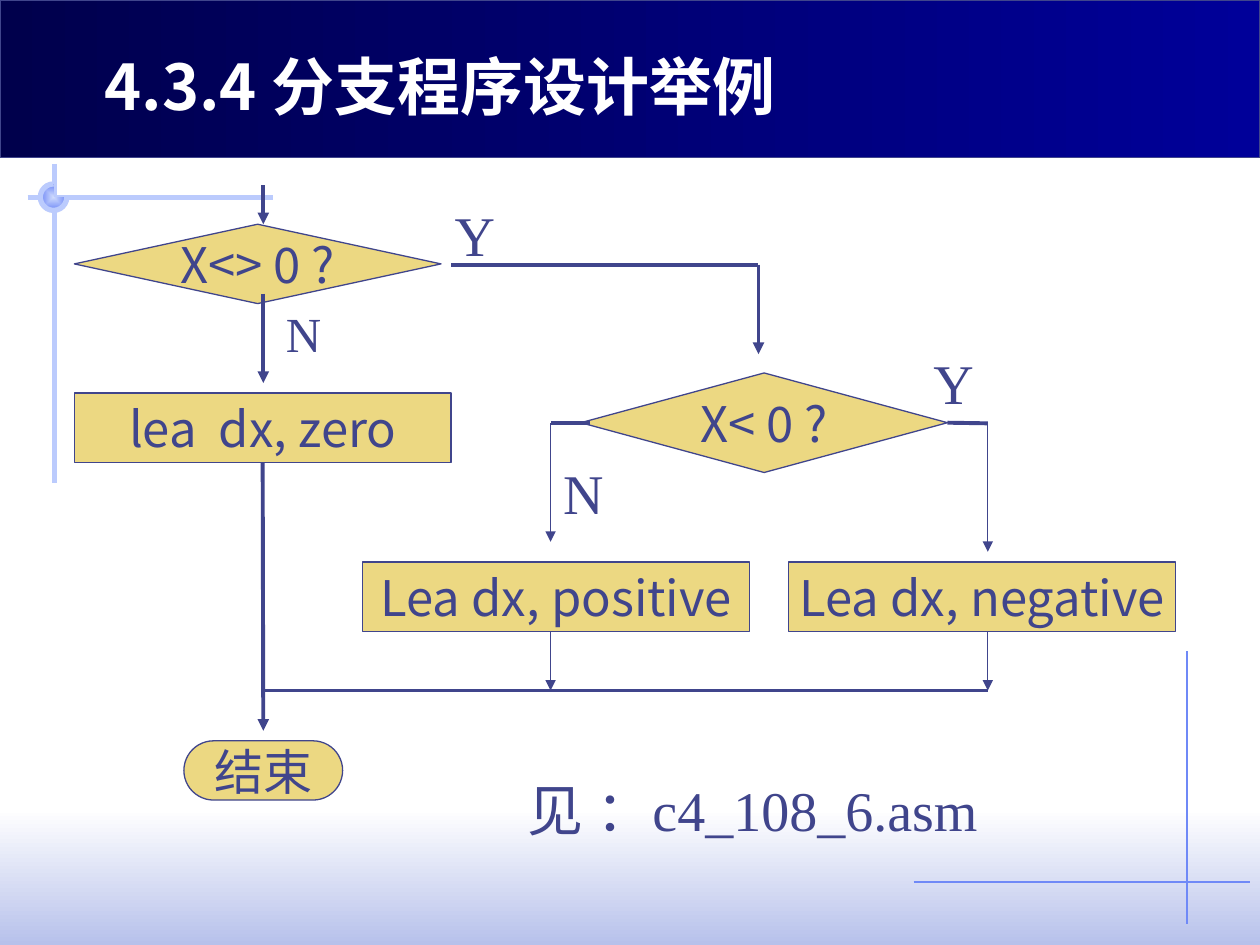
from lxml import etree
from pptx import Presentation
from pptx.dml.color import RGBColor
from pptx.enum.shapes import MSO_CONNECTOR, MSO_SHAPE
from pptx.enum.text import MSO_ANCHOR, PP_ALIGN
from pptx.oxml.ns import qn
from pptx.util import Inches, Pt

RECT, ROUND, DIAMOND = MSO_SHAPE.RECTANGLE, MSO_SHAPE.ROUNDED_RECTANGLE, MSO_SHAPE.DIAMOND
PIE, ARC = MSO_SHAPE.PIE, MSO_SHAPE.ARC
LINE = MSO_CONNECTOR.STRAIGHT
TOP, MIDDLE = MSO_ANCHOR.TOP, MSO_ANCHOR.MIDDLE
LEFT, CENTER = PP_ALIGN.LEFT, PP_ALIGN.CENTER

INK, SAND, PALE, BLUE = "40458C", "ECD882", "BBCBFD", "6F89F7"
SANS, BOLD, SERIF = "Noto Sans CJK SC", "Noto Sans CJK JP", "Times New Roman"
THIN, THICK = 0.75, 2.25

# Content: flow chart columns and rows
TITLE = "4.3.4 分支程序设计举例"
MAIN, TURN, POS, NEG = 2.09, 6.02, 4.37, 7.84
ASK1, ASK2, JOIN = 2.1, 3.36, 5.48

NODES = {  # name: (shape, text, box)
    "less": (DIAMOND, "X< 0 ?", (4.61, 2.96, 2.91, 0.79)),
    "zero": (RECT, "lea  dx, zero", (0.59, 3.12, 2.99, 0.55)),
    "pos": (RECT, "Lea dx, positive", (2.88, 4.46, 3.07, 0.55)),
    "neg": (RECT, "Lea dx, negative", (6.26, 4.46, 3.07, 0.55)),
    "end": (ROUND, "结束", (1.46, 5.88, 1.26, 0.47)),
    "test": (DIAMOND, "X<> 0 ?", (0.59, 1.78, 2.91, 0.63)),
}
FLOWS = [  # x1, y1, x2, y2, width, arrow, (node, side) at the start
    (MAIN, 1.47, MAIN, 1.78, THICK, True, None),
    (MAIN, 2.33, MAIN, 3.04, THICK, True, None),
    (MAIN, 3.67, MAIN, 5.8, THICK, True, ("zero", 2)),
    (3.58, ASK1, TURN, ASK1, THICK, False, None),
    (TURN, ASK1, TURN, 2.81, THICK, True, None),
    (4.68, ASK2, POS, ASK2, THICK, False, None),
    (POS, ASK2, POS, 4.3, THIN, True, None),
    (7.52, ASK2, NEG, ASK2, THICK, False, ("less", 3)),
    (NEG, ASK2, NEG, 4.38, THIN, True, None),
    (POS, 5.01, POS, JOIN, THIN, True, None),
    (NEG, 5.01, NEG, JOIN, THIN, True, None),
    (NEG, JOIN, MAIN, JOIN, THICK, False, None),
]
LABELS = [  # text, box, size, top and bottom inset
    ("Y", (3.51, 1.54, 0.52, 0.64), 32, 0.05),
    ("N", (2.17, 2.41, 0.48, 0.47), 28, 0),
    ("Y", (7.31, 2.72, 0.52, 0.64), 32, 0.05),
    ("N", (POS, 3.59, 0.52, 0.64), 32, 0.05),
    ("见 ：c4_108_6.asm", (4.09, 6.11, 3.88, 0.64), 32, 0.05),
]
RULES = [  # decoration: x1, y1, x2, y2, colour, width
    (9.42, 5.17, 9.42, 7.33, BLUE, THIN),
    (7.25, 7, 9.92, 7, BLUE, THIN),
    (0.22, 1.57, 2.17, 1.57, PALE, 3),
    (0.43, 1.3, 0.43, 3.83, PALE, 3),
]
KNOB = (0.32, 1.46, 0.21, 0.21)

deck = Presentation()
deck.slide_width, deck.slide_height = Inches(10), Inches(7.5)
slide = deck.slides.add_slide(deck.slide_layouts[5])
shapes = slide.shapes


def rgb(code):
    return RGBColor.from_string(code)


def inch(nums):
    return [Inches(n) for n in nums]


def add(kind, box, fill=None, edge=None, width=THIN):
    item = shapes.add_shape(kind, *inch(box))
    item.shadow.inherit = False
    if isinstance(fill, tuple):
        item.fill.gradient()
        for stop, code in zip(item.fill.gradient_stops, fill):
            stop.color.rgb = rgb(code)
    elif fill:
        item.fill.solid()
        item.fill.fore_color.rgb = rgb(fill)
    else:
        item.fill.background()
    if edge:
        item.line.color.rgb = rgb(edge)
        item.line.width = Pt(width)
    else:
        item.line.fill.background()
    return item


def link(x1, y1, x2, y2, color, width, arrow=False):
    item = shapes.add_connector(LINE, *inch((x1, y1, x2, y2)))
    item.line.color.rgb = rgb(color)
    item.line.width = Pt(width)
    if arrow:
        etree.SubElement(item.line._get_or_add_ln(), qn("a:tailEnd"), type="triangle")
    etree.SubElement(item._element.spPr, qn("a:effectLst"))
    return item


def write(item, text, size, face, color=INK, align=LEFT, anchor=TOP, pad=0.05, bold=False):
    frame = item.text_frame
    frame.text = text
    look = {"word_wrap": False, "vertical_anchor": anchor,
            "margin_left": Inches(0.1), "margin_right": Inches(0.1),
            "margin_top": Inches(pad), "margin_bottom": Inches(pad)}
    for key, val in look.items():
        setattr(frame, key, val)
    para = frame.paragraphs[0]
    para.alignment = align
    run = para.runs[0]
    for key, val in {"size": Pt(size), "name": face, "bold": bold}.items():
        setattr(run.font, key, val)
    run.font.color.rgb = rgb(color)
    east = SANS if face == SERIF else face
    etree.SubElement(run._r.get_or_add_rPr(), qn("a:ea"), typeface=east)


# Background bands and rules
foot = add(RECT, (0, 6.42, 10, 1.08), ("FFFFFF", "B7C1EB"))
foot.fill.gradient_angle = 270
for rule in RULES:
    link(*rule)

# Knob: three quarters of a disc with a rim
disc = add(PIE, KNOB, ("CFDBFD", BLUE))
rim = add(ARC, KNOB, None, PALE, 3)
for part in (disc, rim):
    part.adjustments[0], part.adjustments[1] = 0, 162
lin = disc._element.spPr.find(".//" + qn("a:lin"))
glow = etree.Element(qn("a:path"), path="rect")
etree.SubElement(glow, qn("a:fillToRect"), l="50000", t="50000", r="50000", b="50000")
lin.getparent().replace(lin, glow)

# Header and title
head = add(RECT, (0, 0, 10, 1.25), ("00004C", "000099"), INK)
head.fill.gradient_angle = 0
title = shapes.title
title.left, title.top, title.width, title.height = inch((0.73, 0.33, 5.65, 0.7))
write(title, TITLE, 36, BOLD, "FFFFFF", bold=True)
shapes._spTree.append(title._element)

# Flow chart
nodes = {}
for name, (kind, text, box) in NODES.items():
    node = nodes[name] = add(kind, box, SAND, INK)
    if kind == ROUND:
        node.adjustments[0] = 0.5
    write(node, text, 28, SANS, align=CENTER, anchor=MIDDLE)
for x1, y1, x2, y2, width, arrow, start in FLOWS:
    flow = link(x1, y1, x2, y2, INK, width, arrow)
    if start:
        flow.begin_connect(nodes[start[0]], start[1])
for text, box, size, pad in LABELS:
    write(shapes.add_textbox(*inch(box)), text, size, SERIF, pad=pad)

deck.save("out.pptx")
